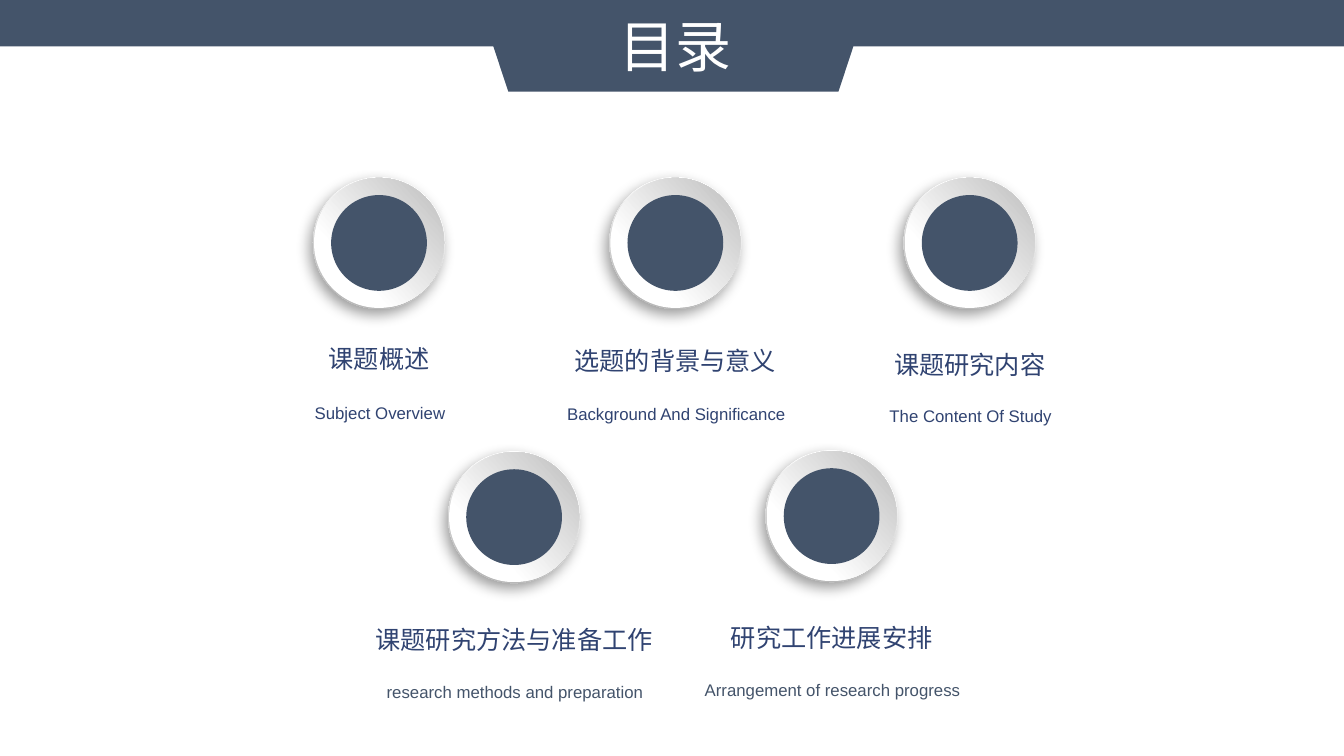
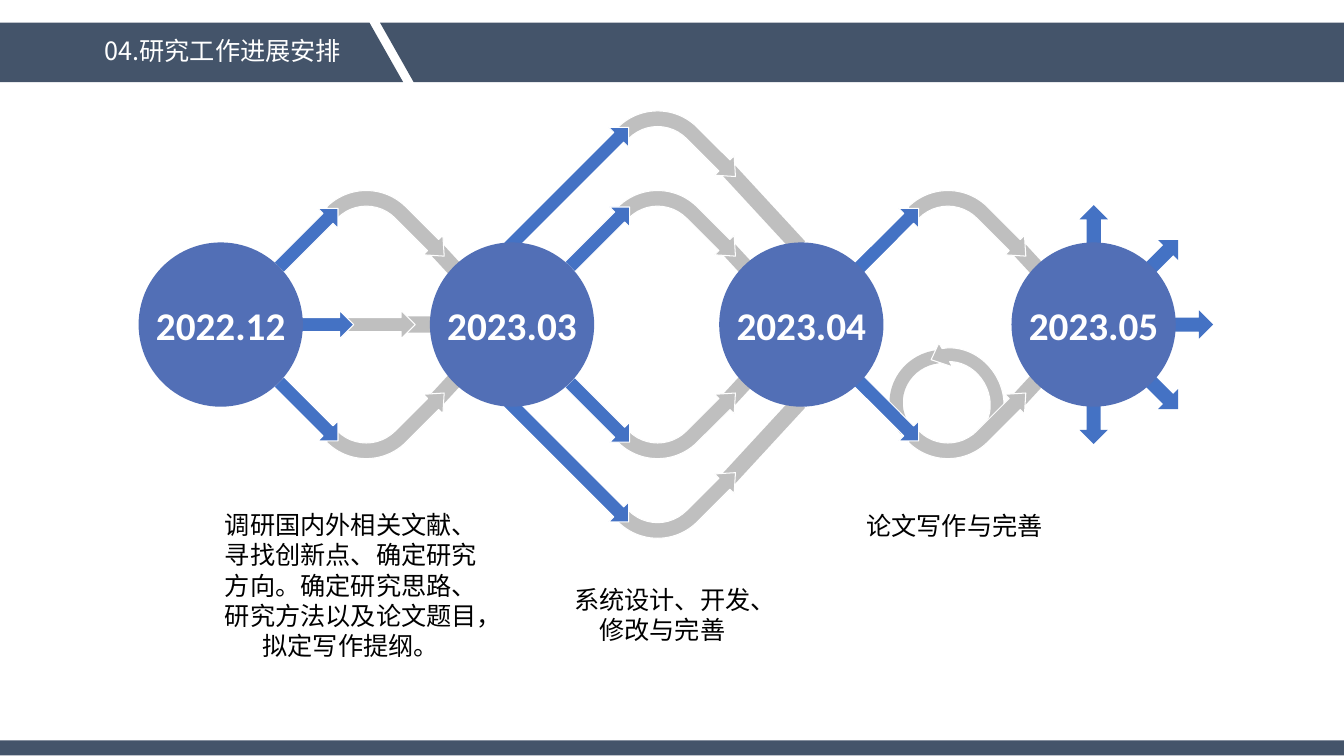
from dataclasses import dataclass
from math import cos, radians, sin

from lxml import etree
from pptx import Presentation
from pptx.dml.color import RGBColor
from pptx.enum.shapes import MSO_SHAPE
from pptx.enum.text import MSO_ANCHOR, PP_ALIGN
from pptx.oxml.ns import qn
from pptx.util import Pt

PX = 9144  # 100 px to the inch
OVAL, RECT = MSO_SHAPE.OVAL, MSO_SHAPE.RECTANGLE
TRAPEZOID, SLANTED = MSO_SHAPE.TRAPEZOID, MSO_SHAPE.PARALLELOGRAM
DOWN, BENT = MSO_SHAPE.DOWN_ARROW, MSO_SHAPE.BENT_ARROW
ARC, LOOP = MSO_SHAPE.BLOCK_ARC, MSO_SHAPE.CIRCULAR_ARROW
CENTER, MIDDLE = PP_ALIGN.CENTER, MSO_ANCHOR.MIDDLE


@dataclass(frozen=True)
class Theme:
    slate: str = "44546A"
    navy: str = "304371"
    blue: str = "4472C4"
    milestone: str = "526FB6"
    grey: str = "BFBFBF"
    rim: str = "B8B8B8"
    white: str = "FFFFFF"
    black: str = "000000"
    chinese: str = "Noto Sans CJK SC"
    caption_font: str = "Arial"
    body_font: str = "Calibri"
    title: int = 40
    date: int = 28
    body: int = 18
    caption: int = 12


theme = Theme()


def place(slide, kind, cx, cy, w, h, fill=None, turn=0, flip="", outline=False, adjust=()):
    """Add a shape, or a text box if kind is None, centred on (cx, cy)."""
    box = [round(v * PX) for v in (cx - w / 2, cy - h / 2, w, h)]
    if kind is None:
        return slide.shapes.add_textbox(*box)
    shape = slide.shapes.add_shape(kind, *box)
    shape.shadow.inherit = False
    shape.fill.solid()
    shape.fill.fore_color.rgb = RGBColor.from_string(fill)
    if outline:
        shape.line.color.rgb = RGBColor.from_string(theme.white)
        shape.line.width = Pt(0.75)
    else:
        shape.line.fill.background()
    shape.rotation = turn
    for axis in flip:
        shape.element.spPr.find(qn("a:xfrm")).set("flip" + axis, "1")
    for index, value in enumerate(adjust):
        shape.adjustments[index] = value
    return shape


def write(shape, text, font, size, color, bold=False, wrap=True):
    frame = shape.text_frame
    frame.text = text
    frame.word_wrap = wrap
    paragraph = frame.paragraphs[0]
    paragraph.alignment = CENTER
    run = paragraph.runs[0]
    run.font.name = font
    run.font.size = Pt(size)
    run.font.bold = bold
    run.font.color.rgb = RGBColor.from_string(color)
    etree.SubElement(run.font._element, qn("a:ea"), typeface=theme.chinese)


deck = Presentation()
deck.slide_width, deck.slide_height = 12192000, 750 * PX
blank = deck.slide_layouts[6]

# Contents slide: five buttons with a Chinese and an English label
contents = deck.slides.add_slide(blank)
topics = [  # centre x, then centre y of button, label and caption
    (376, 241, 356, 410, "课题概述", "Subject Overview", theme.navy),
    (670, 241, 358, 411, "选题的背景与意义", "Background And Significance", theme.navy),
    (962, 241, 362, 413, "课题研究内容", "The Content Of Study", theme.navy),
    (510, 513, 634, 686, "课题研究方法与准备工作", "research methods and preparation", theme.slate),
    (825, 512, 632, 684, "研究工作进展安排", "Arrangement of research progress", theme.slate),
]
ring_layers = [  # diameter, gradient angle, stops
    (131, 253, ((0.17, theme.white), (0.88, theme.rim))),
    (129, 42, ((0.29, theme.white), (0.98, theme.grey))),
]
for x, button_y, label_y, caption_y, label, caption, caption_color in topics:
    for diameter, angle, stops in ring_layers:
        ring = place(contents, OVAL, x, button_y, diameter, diameter, theme.white)
        ring.fill.gradient()
        ring.fill.gradient_angle = angle
        for stop, (position, color) in zip(ring.fill.gradient_stops, stops):
            stop.position = position
            stop.color.rgb = RGBColor.from_string(color)
        if diameter == 131:  # only the outer ring casts a shadow
            effects = ring.element.spPr.find(qn("a:effectLst"))
            shadow = etree.SubElement(effects, qn("a:outerShdw"), blurRad=str(Pt(10)),
                                      dist=str(Pt(5)), dir=str(123 * 60000), rotWithShape="0")
            tint = etree.SubElement(shadow, qn("a:srgbClr"), val=theme.black)
            etree.SubElement(tint, qn("a:alpha"), val="39000")
    place(contents, OVAL, x, button_y, 95, 95, theme.slate)
    write(place(contents, None, x, label_y, 542, 40), label, theme.chinese, theme.body, theme.navy)
    write(place(contents, None, x + 1, caption_y, 542, 30), caption,
          theme.caption_font, theme.caption, caption_color)

# Title band with its tab
place(contents, RECT, 667, 23, 1334, 46, theme.slate)
place(contents, TRAPEZOID, 668, 55, 375, 72, theme.slate, turn=180, adjust=[0.33])
contents.shapes[-1].adjustments[0] = 0.33
write(place(contents, None, 670, 45, 139, 77), "目录", theme.chinese, theme.title, theme.white)

# Schedule slide: header and footer bands
schedule = deck.slides.add_slide(blank)
for x, width in ((175, 450), (881, 1008)):
    place(schedule, SLANTED, x, 52, width, 59, theme.slate, flip="V", adjust=[0.566])
place(schedule, RECT, 667, 742, 1334, 15, theme.slate)
write(place(schedule, None, 221, 50, 542, 40), "04.研究工作进展安排",
      theme.chinese, theme.body, theme.white)

# Grey links into the next milestone, mirrored about the axis
axis = 322
for x, offset, length in ((442, 65, 25), (732, 65, 25), (758, 115, 103), (1020, 65, 25)):
    for side in (-1, 1):
        place(schedule, RECT, x, axis + side * offset, length, 16, theme.grey, turn=-47.3 * side)
place(schedule, RECT, 415, axis, 25, 16, theme.grey)

# Revision loop before the last milestone
place(schedule, ARC, 934, 398, 101, 104, theme.grey, turn=236.4, adjust=[158.98, 17.55, 0.13])
place(schedule, LOOP, 947, 397, 120, 109, theme.grey, turn=60, flip="H", outline=True)

# Grey curved arrows
for x, offset in ((387, 97), (676, 97), (676, 176), (964, 97)):
    for side, turn, flip in ((-1, 225, "HV"), (1, 315, "V")):
        place(schedule, BENT, x, axis + side * offset, 117, 62, theme.grey, turn, flip,
              outline=True, adjust=[0.25, 0.22, 0.25, 0.9])

# Straight arrows out of the milestones
place(schedule, DOWN, 377, axis, 28, 70, theme.grey, turn=270, outline=True)
place(schedule, DOWN, 322, axis, 28, 58, theme.blue, turn=270, outline=True)
for x, offset, length in ((306, 86, 83), (564, 136, 169), (595, 87, 84), (881, 85, 86)):
    for side in (-1, 1):
        place(schedule, DOWN, x, axis + side * offset, 28, length, theme.blue,
              turn=270 + 45 * side, outline=True)

# Milestones, with arrows fanning out of the last one
milestones = {"2022.12": 219, "2023.03": 508, "2023.04": 795, "2023.05": 1085}
for angle in range(-90, 91, 45):
    place(schedule, DOWN, milestones["2023.05"] + 99 * cos(radians(angle)),
          axis + 99 * sin(radians(angle)), 28, 39, theme.blue, turn=angle - 90)
for date, x in milestones.items():
    milestone = place(schedule, OVAL, x, axis, 163, 163, theme.milestone)
    write(milestone, date, theme.body_font, theme.date, theme.white, bold=True, wrap=False)
    milestone.text_frame.vertical_anchor = MIDDLE

# Work planned for each stage
stages = [
    (348, 581, 291, 161,
     "调研国内外相关文献、寻找创新点、确定研究方向。确定研究思路、研究方法以及论文题目，拟定写作提纲。"),
    (657, 610, 205, 71, "系统设计、开发、修改与完善"),
    (947, 521, 215, 40, "论文写作与完善"),
]
for x, y, width, height, work in stages:
    write(place(schedule, None, x, y, width, height), work,
          theme.body_font, theme.body, theme.black)

deck.save("out.pptx")
